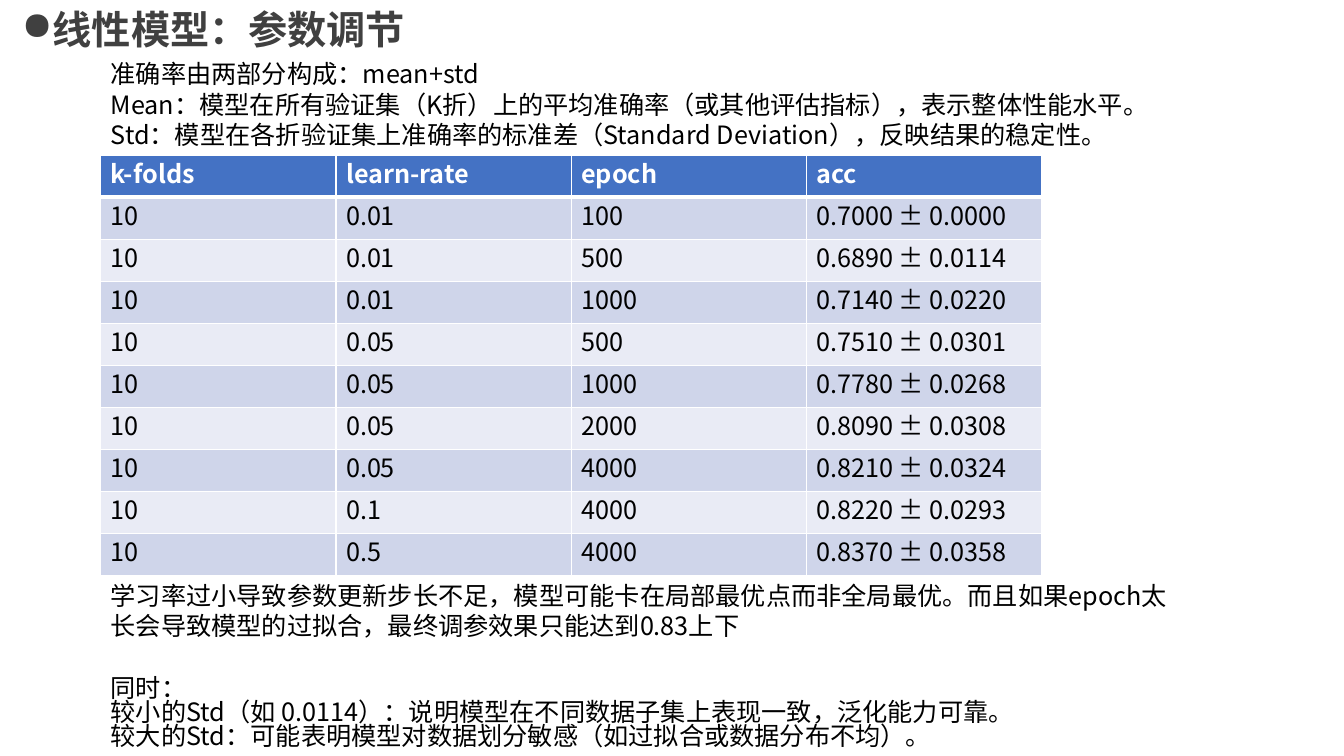
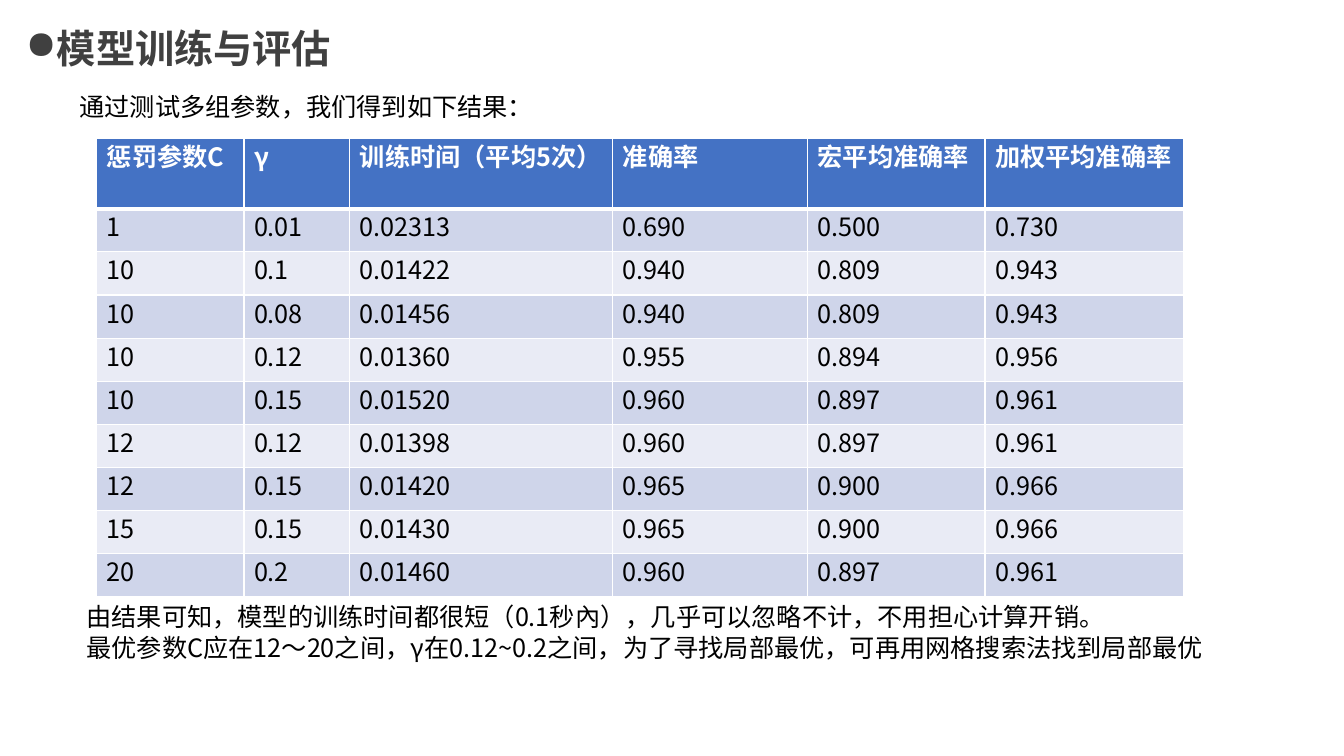
"""Build two slides on model tuning: a linear model and a training evaluation."""
from lxml import etree
from pptx import Presentation, util as u
from pptx.dml.color import RGBColor
from pptx.enum import text as t
from pptx.oxml import parse_xml
from pptx.oxml.ns import nsdecls, qn

COLORS = {
    "title": "404040",
    "body": "000000",
    "header": "4472C4",
    "header_text": "FFFFFF",
    "border": "FFFFFF",
    "odd": "CFD5EA",
    "even": "E9EBF5",
}
FONT = "Noto Sans CJK SC"
BODY_SIZE, TITLE_SIZE = 18, 28
LEADING = 1.2

presentation = Presentation()
presentation.slide_width = u.Inches(13.33)
presentation.slide_height = u.Inches(7.5)
COLUMN = presentation.slide_width / 80
ROW = presentation.slide_height / 45


def format_paragraph(paragraph, size, color, bold=False, spacing=None):
    paragraph.line_spacing = u.Pt(spacing or size * LEADING)
    for run in paragraph.runs:
        run.font.size = u.Pt(size)
        run.font.name = FONT
        run.font.bold = bold
        run.font.color.rgb = RGBColor.from_string(COLORS[color])
        etree.SubElement(run.font._element, qn("a:ea")).set("typeface", FONT)


def add_text(slide, box, lines, is_title=False, spacing=None):
    left, top, width, height = box
    shape = slide.shapes.add_textbox(
        int(left * COLUMN), int(top * ROW), int(width * COLUMN), int(height * ROW))
    frame = shape.text_frame
    frame.word_wrap = not is_title
    frame.text = "\n".join(lines)
    for paragraph in frame.paragraphs:
        if is_title:
            format_paragraph(paragraph, TITLE_SIZE, "title", bold=True)
            paragraph.alignment = t.PP_ALIGN.CENTER
            properties = paragraph._p.get_or_add_pPr()
            properties.set("marL", str(u.Inches(0.31)))
            properties.set("indent", str(-u.Inches(0.31)))
            etree.SubElement(properties, qn("a:buChar")).set("char", "●")
        else:
            format_paragraph(paragraph, BODY_SIZE, "body", spacing=spacing)


pages = [
    {
        "title": ((0.6, 0, 24.2, 3.4), "线性模型：参数调节"),
        "table": (6, 9.24, 2.5, [14, 14, 14, 14]),
        "rows": [
            ("k-folds", "learn-rate", "epoch", "acc"),
            ("10", "0.01", "100", "0.7000 ± 0.0000"),
            ("10", "0.01", "500", "0.6890 ± 0.0114"),
            ("10", "0.01", "1000", "0.7140 ± 0.0220"),
            ("10", "0.05", "500", "0.7510 ± 0.0301"),
            ("10", "0.05", "1000", "0.7780 ± 0.0268"),
            ("10", "0.05", "2000", "0.8090 ± 0.0308"),
            ("10", "0.05", "4000", "0.8210 ± 0.0324"),
            ("10", "0.1", "4000", "0.8220 ± 0.0293"),
            ("10", "0.5", "4000", "0.8370 ± 0.0358"),
        ],
        "texts": [
            ((6, 34.26, 64.74, 4.26), None, [
                "学习率过小导致参数更新步长不足，模型可能卡在局部最优点而非全局最优。而且如果epoch"
                "太长会导致模型的过拟合，最终调参效果只能达到0.83上下"]),
            ((6, 3.2, 69.4, 6.06), None, [
                "准确率由两部分构成：mean+std",
                "Mean：模型在所有验证集（K折）上的平均准确率（或其他评估指标），表示整体性能水平。",
                "Std：模型在各折验证集上准确率的标准差（Standard Deviation），反映结果的稳定性。"]),
            ((6, 40.08, 55.2, 4.92), 17.1, [
                "同时：",
                "较小的Std（如 0.0114）：说明模型在不同数据子集上表现一致，泛化能力可靠。",
                "较大的Std：可能表明模型对数据划分敏感（如过拟合或数据分布不均）。"]),
        ],
    },
    {
        "title": ((0.9, 1.14, 19.44, 3.4), "模型训练与评估"),
        "table": (5.76, 8.22, 2.57, [8.76, 6.3, 15.66, 11.6, 10.56, 11.8]),
        "rows": [
            ("惩罚参数C", "γ", "训练时间（平均5次）", "准确率", "宏平均准确率", "加权平均准确率"),
            ("1", "0.01", "0.02313", "0.690", "0.500", "0.730"),
            ("10", "0.1", "0.01422", "0.940", "0.809", "0.943"),
            ("10", "0.08", "0.01456", "0.940", "0.809", "0.943"),
            ("10", "0.12", "0.01360", "0.955", "0.894", "0.956"),
            ("10", "0.15", "0.01520", "0.960", "0.897", "0.961"),
            ("12", "0.12", "0.01398", "0.960", "0.897", "0.961"),
            ("12", "0.15", "0.01420", "0.965", "0.900", "0.966"),
            ("15", "0.15", "0.01430", "0.965", "0.900", "0.966"),
            ("20", "0.2", "0.01460", "0.960", "0.897", "0.961"),
        ],
        "texts": [
            ((4.14, 5.16, 75.12, 2.4), None, ["通过测试多组参数，我们得到如下结果："]),
            ((4.56, 35.52, 72.24, 6.06), None, [
                "由结果可知，模型的训练时间都很短（0.1秒內），几乎可以忽略不计，不用担心计算开销。",
                "最优参数C应在12～20之间，γ在0.12~0.2之间，为了寻找局部最优，可再用网格搜索法找到局部最优"]),
        ],
    },
]

for page in pages:
    slide = presentation.slides.add_slide(presentation.slide_layouts[6])
    title_box, title = page["title"]
    add_text(slide, title_box, [title], is_title=True)

    left, top, row_height, widths = page["table"]
    rows = page["rows"]
    table = slide.shapes.add_table(
        len(rows), len(widths), int(left * COLUMN), int(top * ROW),
        int(sum(widths) * COLUMN), int(len(rows) * row_height * ROW)).table
    for column, width in zip(table.columns, widths):
        column.width = int(width * COLUMN)
    for row_index, values in enumerate(rows):
        table.rows[row_index].height = int(row_height * ROW)
        is_header = row_index == 0
        fill = "header" if is_header else "odd" if row_index % 2 else "even"
        for column_index, value in enumerate(values):
            cell = table.cell(row_index, column_index)
            cell.text_frame.text = value
            format_paragraph(cell.text_frame.paragraphs[0], BODY_SIZE,
                             "header_text" if is_header else "body", bold=is_header)
            properties = cell._tc.get_or_add_tcPr()
            borders = {"lnL": 1, "lnR": 1, "lnT": 3 if row_index == 1 else 1,
                       "lnB": 3 if is_header else 1}
            for side, points in borders.items():
                properties.append(parse_xml(
                    f'<a:{side} {nsdecls("a")} w="{u.Pt(points)}"><a:solidFill>'
                    f'<a:srgbClr val="{COLORS["border"]}"/></a:solidFill></a:{side}>'))
            cell.fill.solid()
            cell.fill.fore_color.rgb = RGBColor.from_string(COLORS[fill])

    for box, spacing, lines in page["texts"]:
        add_text(slide, box, lines, spacing=spacing)

presentation.save("out.pptx")
